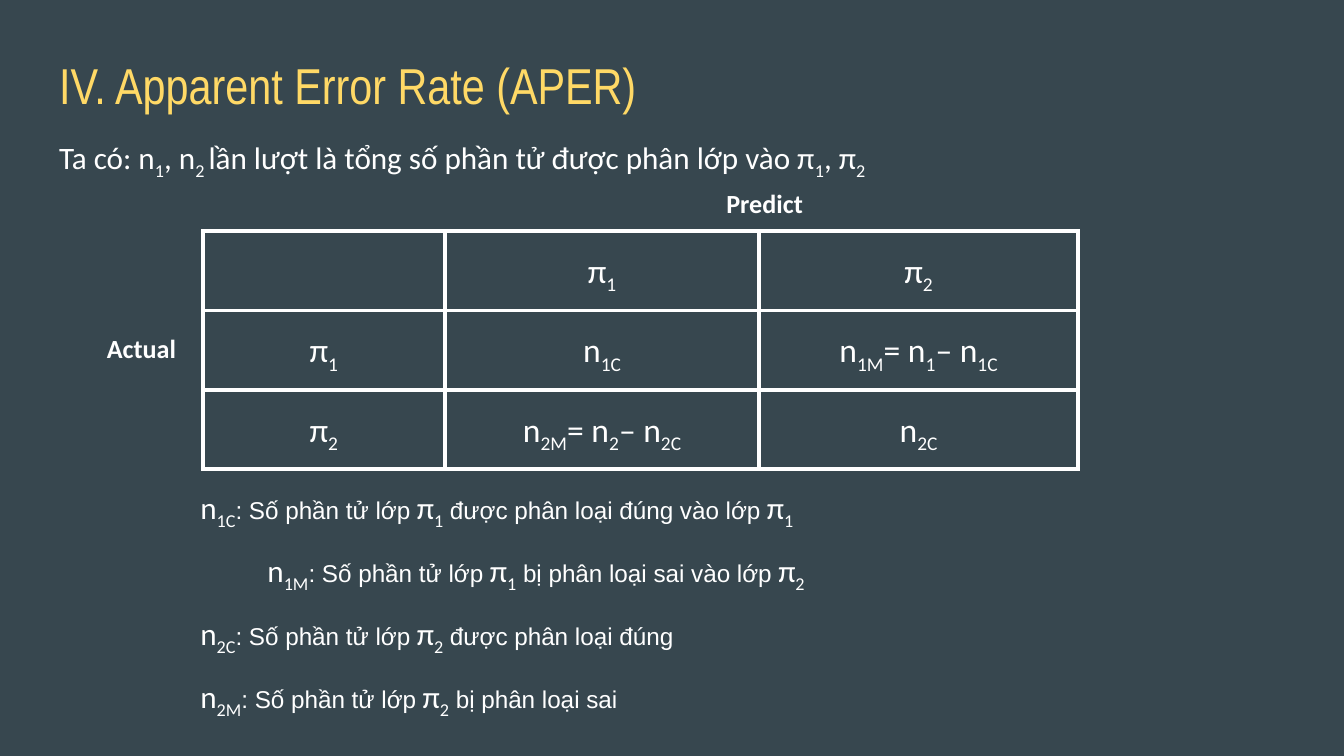
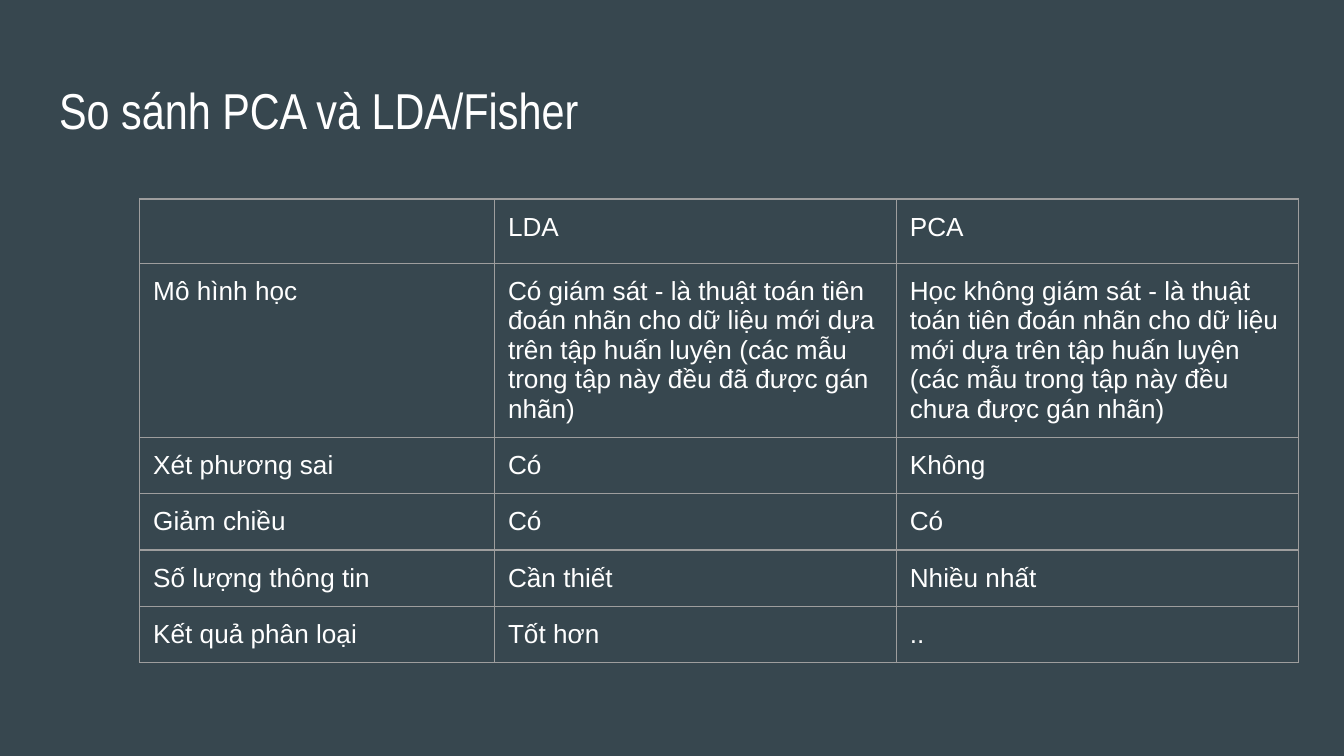
from lxml.etree import SubElement
from pptx import Presentation
from pptx.dml.color import RGBColor
from pptx.enum.text import MSO_ANCHOR, MSO_AUTO_SIZE, PP_ALIGN
from pptx.oxml.ns import qn
from pptx.util import Inches, Pt

BACKGROUND, WHITE, YELLOW, GREY = "37474F", "FFFFFF", "FFD966", "9E9E9E"
MATH_FONT, WORD_FONT, TITLE_FONT = "Calibri", "Arial", "Arial Narrow"
TITLE_ONLY, TITLE_AND_BODY = 5, 1


def color(value):
    return RGBColor.from_string(value)


class Deck:
    """Holds the style, the presentation and the current slide."""

    def __init__(self):
        self.presentation = Presentation()
        self.presentation.slide_width = Inches(10)
        self.presentation.slide_height = Inches(10) * 9 // 16
        self.slide = None

    def add_slide(self, layout, title, top, title_color):
        layouts = self.presentation.slide_layouts
        self.slide = self.presentation.slides.add_slide(layouts[layout])
        fill = self.slide.background.fill
        fill.solid()
        fill.fore_color.rgb = color(BACKGROUND)
        shape = self.slide.shapes.title
        frame = self.frame(shape, 0.34, top, 9.32, 0.63, MSO_ANCHOR.TOP)
        paragraph = frame.paragraphs[0]
        paragraph.alignment = PP_ALIGN.LEFT
        self.run(paragraph, title, 27, TITLE_FONT, title_color)

    def frame(self, shape, left, top, width, height, anchor):
        shape.left, shape.top = Inches(left), Inches(top)
        shape.width, shape.height = Inches(width), Inches(height)
        frame = shape.text_frame
        frame.word_wrap = True
        frame.auto_size = MSO_AUTO_SIZE.NONE
        frame.vertical_anchor = anchor
        frame.margin_left = frame.margin_right = Inches(0.1)
        frame.margin_top = frame.margin_bottom = Inches(0.1)
        return frame

    def run(self, paragraph, text, size, font, text_color=WHITE, bold=False):
        run = paragraph.add_run()
        run.text = text
        run.font.size = Pt(size)
        run.font.name = font
        run.font.bold = bold
        run.font.color.rgb = color(text_color)
        return run

    def notation(self, paragraph, text, size, font=MATH_FONT):
        for index, part in enumerate(text.replace("]", "[").split("[")):
            if part:
                run = self.run(paragraph, part, size, font)
                if index % 2:
                    run.font._element.set("baseline", "-25000")

    def body(self, lines):
        shape = self.slide.placeholders[1]
        frame = self.frame(shape, 0.34, 0.93, 9.32, 4.41, MSO_ANCHOR.TOP)
        for index, (indent, space_before, parts) in enumerate(lines):
            paragraph = frame.add_paragraph() if index else frame.paragraphs[0]
            paragraph.line_spacing = 0.95
            paragraph.space_before = Pt(space_before)
            properties = paragraph._p.get_or_add_pPr()
            properties.set("marL", str(Inches(indent)))
            properties.set("indent", "0")
            SubElement(properties, qn("a:buNone"))
            for position, part in enumerate(parts):
                if position % 2:
                    self.run(paragraph, part, 13, WORD_FONT)
                else:
                    self.notation(paragraph, part, 16.7)

    def label(self, text, left, top, alignment):
        shape = self.slide.shapes.add_textbox(0, 0, 0, 0)
        frame = self.frame(shape, left, top, 0.96, 0.44, MSO_ANCHOR.MIDDLE)
        paragraph = frame.paragraphs[0]
        paragraph.alignment = alignment
        self.run(paragraph, text, 14, MATH_FONT, bold=True)

    def border(self, cell, line_color, width):
        properties = cell._tc.get_or_add_tcPr()
        for side in ("a:lnL", "a:lnR", "a:lnT", "a:lnB"):
            line = SubElement(properties, qn(side), w=str(Pt(width)))
            fill = SubElement(line, qn("a:solidFill"))
            SubElement(fill, qn("a:srgbClr"), val=line_color)

    def table(self, left, top, widths, heights, rows, line, size, font, centred=False):
        table = self.slide.shapes.add_table(
            len(rows), len(widths), Inches(left), Inches(top),
            Inches(sum(widths)), Inches(sum(heights))).table
        table.first_row = table.horz_banding = False
        for column, width in zip(table.columns, widths):
            column.width = Inches(width)
        for row, height, texts in zip(table.rows, heights, rows):
            row.height = Inches(height)
            for cell, text in zip(row.cells, texts):
                self.border(cell, *line)
                cell.fill.background()
                cell.margin_left = cell.margin_right = Inches(0.1)
                cell.margin_top = cell.margin_bottom = Inches(0.1)
                paragraph = cell.text_frame.paragraphs[0]
                if centred:
                    paragraph.alignment = PP_ALIGN.CENTER
                    paragraph.line_spacing = 1.15
                    paragraph.space_after = Pt(12)
                self.notation(paragraph, text, size, font)
                if not text:
                    SubElement(paragraph._p, qn("a:endParaRPr"), sz=str(size * 100))


def add_error_rate(deck):
    deck.add_slide(TITLE_AND_BODY, "IV. Apparent Error Rate (APER)", 0.3, YELLOW)
    count = ": Số phần tử lớp "
    deck.body([
        (0, 0, ["Ta có: n[1], n[2 ]lần lượt là tổng số phần tử được phân lớp vào π[1], π[2]"]),
        (1.05, 166, ["n[1C]", count, "π[1]", " được phân loại đúng vào lớp ", "π[1]"]),
        (1.55, 12, ["n[1M]", count, "π[1]", " bị phân loại sai vào lớp ", "π[2]"]),
        (1.05, 12, ["n[2C]", count, "π[2]", " được phân loại đúng"]),
        (1.05, 12, ["n[2M]", count, "π[2]", " bị phân loại sai"]),
    ])
    confusion = [
        ("", "π[1]", "π[2]"),
        ("π[1]", "n[1C]", "n[1M]= n[1]– n[1C]"),
        ("π[2]", "n[2M]= n[2]– n[2C]", "n[2C]"),
    ]
    deck.table(1.51, 1.72, [1.8, 2.34, 2.37], [0.59] * 3, confusion,
               (WHITE, 2.25), 18, MATH_FONT, centred=True)
    deck.label("Predict", 5.21, 1.29, PP_ALIGN.CENTER)
    deck.label("Actual", 0.45, 2.37, PP_ALIGN.RIGHT)


def add_comparison(deck):
    deck.add_slide(TITLE_ONLY, "So sánh PCA và LDA/Fisher", 0.49, WHITE)
    model = ("là thuật toán tiên đoán nhãn cho dữ liệu mới dựa trên tập huấn luyện "
             "(các mẫu trong tập này đều {} được gán nhãn)")
    comparison = [
        ("", "LDA", "PCA"),
        ("Mô hình học", "Có giám sát - " + model.format("đã"),
         "Học không giám sát - " + model.format("chưa")),
        ("Xét phương sai", "Có", "Không"),
        ("Giảm chiều", "Có", "Có"),
        ("Số lượng thông tin", "Cần thiết", "Nhiều nhất"),
        ("Kết quả phân loại", "Tốt hơn", ".."),
    ]
    deck.table(1.04, 1.48, [2.64, 2.99, 2.99], [0.48, 1.29] + [0.42] * 4,
               comparison, (GREY, 0.75), 14, WORD_FONT)


def main():
    deck = Deck()
    add_error_rate(deck)
    add_comparison(deck)
    deck.presentation.save("out.pptx")


if __name__ == "__main__":
    main()
